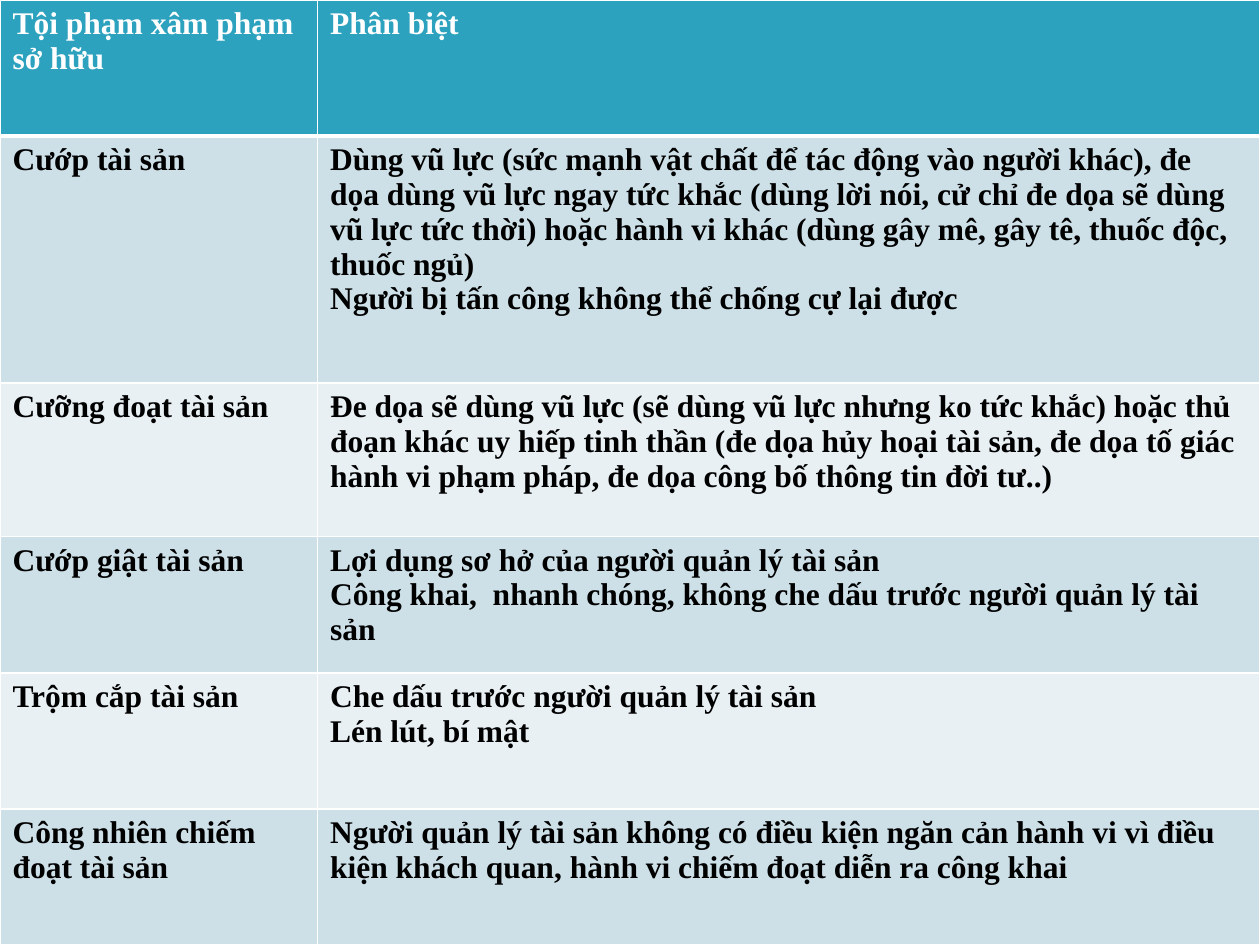
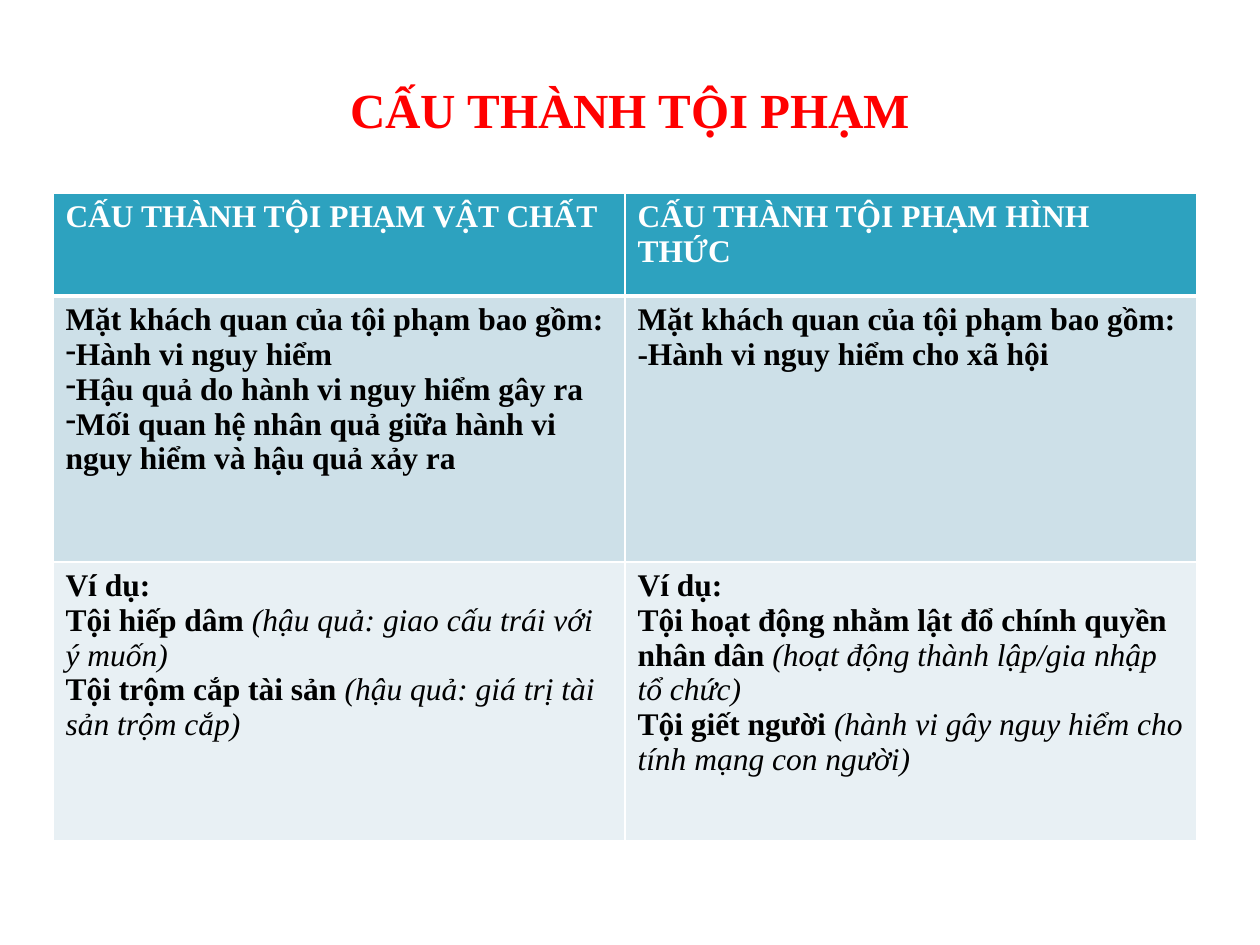
"""Build two slides that compare kinds of crime in tables."""
from dataclasses import dataclass

from lxml import etree
from pptx import Presentation
from pptx import util as u
from pptx.dml.color import RGBColor
from pptx.enum import text
from pptx.oxml.ns import qn


@dataclass(frozen=True)
class Theme:
    """Colours and type sizes shared by the slides."""
    font: str = "Times New Roman"
    title_size: int = 28
    table_size: int = 18
    title: str = "FF0000"
    header: str = "2DA2BF"
    header_text: str = "FFFFFF"
    body_text: str = "000000"
    bands: tuple[str, str] = ("CDE0E8", "E8F0F4")
    border: str = "FFFFFF"
    thin: int = 1
    thick: int = 3


@dataclass(frozen=True)
class Frame:
    """A box in percent of the slide's width and height."""
    left: float
    top: float
    width: float
    height: float

    def place(self, presentation) -> tuple[int, int, int, int]:
        """Return the box in slide units."""
        across = presentation.slide_width / 100
        down = presentation.slide_height / 100
        return (round(self.left * across), round(self.top * down),
                round(self.width * across), round(self.height * down))


@dataclass(frozen=True)
class Line:
    """One paragraph: bold words, then an optional italic remark."""
    words: str
    remark: str = ""
    bullet: bool = False


@dataclass(frozen=True)
class Comparison:
    """A table with relative column widths and row heights."""
    frame: Frame
    columns: tuple[float, ...]
    rows: tuple[float, ...]
    cells: list[list[list[Line]]]


THEME = Theme()
TITLE_FRAME = Frame(7.5, 7.73, 85, 7.6)

PROPERTY_CRIMES = Comparison(
    Frame(0, 0, 100, 100),
    (2.52, 7.48),
    (1.08, 1.96, 1.22, 1.08, 1.08, 1.08),
    [
        [[Line("Tội phạm xâm phạm sở hữu")], [Line("Phân biệt")]],
        [[Line("Cướp tài sản")],
         [Line("Dùng vũ lực (sức mạnh vật chất để tác động vào người khác), "
               "đe dọa dùng vũ lực ngay tức khắc (dùng lời nói, cử chỉ đe dọa "
               "sẽ dùng vũ lực tức thời) hoặc hành vi khác (dùng gây mê, "
               "gây tê, thuốc độc, thuốc ngủ)"),
          Line("Người bị tấn công không thể chống cự lại được")]],
        [[Line("Cưỡng đoạt tài sản")],
         [Line("Đe dọa sẽ dùng vũ lực (sẽ dùng vũ lực nhưng ko tức khắc) "
               "hoặc thủ đoạn khác uy hiếp tinh thần (đe dọa hủy hoại tài sản, "
               "đe dọa tố giác hành vi phạm pháp, đe dọa công bố thông tin "
               "đời tư..)")]],
        [[Line("Cướp giật tài sản")],
         [Line("Lợi dụng sơ hở của người quản lý tài sản"),
          Line("Công khai,  nhanh chóng, không che dấu trước người quản lý "
               "tài sản")]],
        [[Line("Trộm cắp tài sản")],
         [Line("Che dấu trước người quản lý tài sản"),
          Line("Lén lút, bí mật")]],
        [[Line("Công nhiên chiếm đoạt tài sản")],
         [Line("Người quản lý tài sản không có điều kiện ngăn cản hành vi vì "
               "điều kiện khách quan, hành vi chiếm đoạt diễn ra công khai")]],
    ],
)

CRIME_ELEMENTS = Comparison(
    Frame(4.2, 20.4, 90.8, 68.53),
    (1, 1),
    (0.82, 2.11, 2.21),
    [
        [[Line("CẤU THÀNH TỘI PHẠM VẬT CHẤT")],
         [Line("CẤU THÀNH TỘI PHẠM HÌNH THỨC")]],
        [[Line("Mặt khách quan của tội phạm bao gồm:"),
          Line("Hành vi nguy hiểm", bullet=True),
          Line("Hậu quả do hành vi nguy hiểm gây ra", bullet=True),
          Line("Mối quan hệ nhân quả giữa hành vi nguy hiểm và hậu quả xảy ra",
               bullet=True)],
         [Line("Mặt khách quan của tội phạm bao gồm:"),
          Line("-Hành vi nguy hiểm cho xã hội")]],
        [[Line("Ví dụ:"),
          Line("Tội hiếp dâm ", "(hậu quả: giao cấu trái với ý muốn)"),
          Line("Tội trộm cắp tài sản ",
               "(hậu quả: giá trị tài sản trộm cắp)")],
         [Line("Ví dụ:"),
          Line("Tội hoạt động nhằm lật đổ chính quyền nhân dân ",
               "(hoạt động thành lập/gia nhập tổ chức)"),
          Line("Tội giết người ",
               "(hành vi gây nguy hiểm cho tính mạng con người)")]],
    ],
)


def format_run(run, size: int, colour: str, italic: bool = False) -> None:
    """Give a run the shared font, bold unless italic."""
    run.font.name = THEME.font
    run.font.size = u.Pt(size)
    run.font.bold = not italic
    run.font.italic = italic
    run.font.color.rgb = RGBColor.from_string(colour)


def write_line(paragraph, line: Line, colour: str) -> None:
    """Write one line of a cell with its bullet and remark."""
    if line.bullet:
        properties = paragraph._p.get_or_add_pPr()
        properties.set("marL", "0")
        properties.set("indent", "0")
        etree.SubElement(properties, qn("a:buFontTx"))
        etree.SubElement(properties, qn("a:buChar"), char="-")
    paragraph.text = line.words
    format_run(paragraph.runs[0], THEME.table_size, colour)
    if line.remark:
        remark = paragraph.add_run()
        remark.text = line.remark
        format_run(remark, THEME.table_size, colour, italic=True)


def draw_borders(cell, row: int) -> None:
    """Line all sides of a cell, with a thick rule under the header."""
    properties = cell._tc.get_or_add_tcPr()
    thick_side = {0: "lnB", 1: "lnT"}.get(row)
    for position, side in enumerate(("lnL", "lnR", "lnT", "lnB")):
        width = THEME.thick if side == thick_side else THEME.thin
        border = etree.Element(qn(f"a:{side}"), w=str(u.Pt(width)))
        fill = etree.SubElement(border, qn("a:solidFill"))
        etree.SubElement(fill, qn("a:srgbClr"), val=THEME.border)
        properties.insert(position, border)


def fill_cell(cell, lines: list[Line], row: int) -> None:
    """Colour a cell by its row and write its lines."""
    background = THEME.bands[(row - 1) % 2] if row else THEME.header
    colour = THEME.body_text if row else THEME.header_text
    cell.fill.solid()
    cell.fill.fore_color.rgb = RGBColor.from_string(background)
    draw_borders(cell, row)
    frame = cell.text_frame
    for index, line in enumerate(lines):
        paragraph = frame.add_paragraph() if index else frame.paragraphs[0]
        write_line(paragraph, line, colour)


def add_comparison(presentation, slide, comparison: Comparison) -> None:
    """Draw a comparison table."""
    left, top, width, height = comparison.frame.place(presentation)
    table = slide.shapes.add_table(
        len(comparison.rows), len(comparison.columns),
        left, top, width, height).table
    for column, share in zip(table.columns, comparison.columns):
        column.width = round(width * share / sum(comparison.columns))
    for row, share in zip(table.rows, comparison.rows):
        row.height = round(height * share / sum(comparison.rows))
    for row, contents in enumerate(comparison.cells):
        for column, lines in enumerate(contents):
            fill_cell(table.cell(row, column), lines, row)


def set_title(presentation, slide, words: str) -> None:
    """Place and format the title placeholder."""
    title = slide.shapes.title
    title.left, title.top, title.width, title.height = TITLE_FRAME.place(
        presentation)
    frame = title.text_frame
    frame.text = words
    frame.word_wrap = True
    frame.auto_size = text.MSO_AUTO_SIZE.SHAPE_TO_FIT_TEXT
    frame.vertical_anchor = text.MSO_ANCHOR.MIDDLE
    frame.paragraphs[0].alignment = text.PP_ALIGN.CENTER
    format_run(frame.paragraphs[0].runs[0], THEME.title_size, THEME.title)


def main() -> None:
    """Build and save the presentation."""
    presentation = Presentation()
    presentation.slide_width = u.Inches(10)
    presentation.slide_height = u.Inches(7.5)
    title_only, blank = (presentation.slide_layouts[i] for i in (5, 6))

    crimes_slide = presentation.slides.add_slide(blank)
    add_comparison(presentation, crimes_slide, PROPERTY_CRIMES)

    elements_slide = presentation.slides.add_slide(title_only)
    set_title(presentation, elements_slide, "CẤU THÀNH TỘI PHẠM")
    add_comparison(presentation, elements_slide, CRIME_ELEMENTS)

    presentation.save("out.pptx")


if __name__ == "__main__":
    main()
